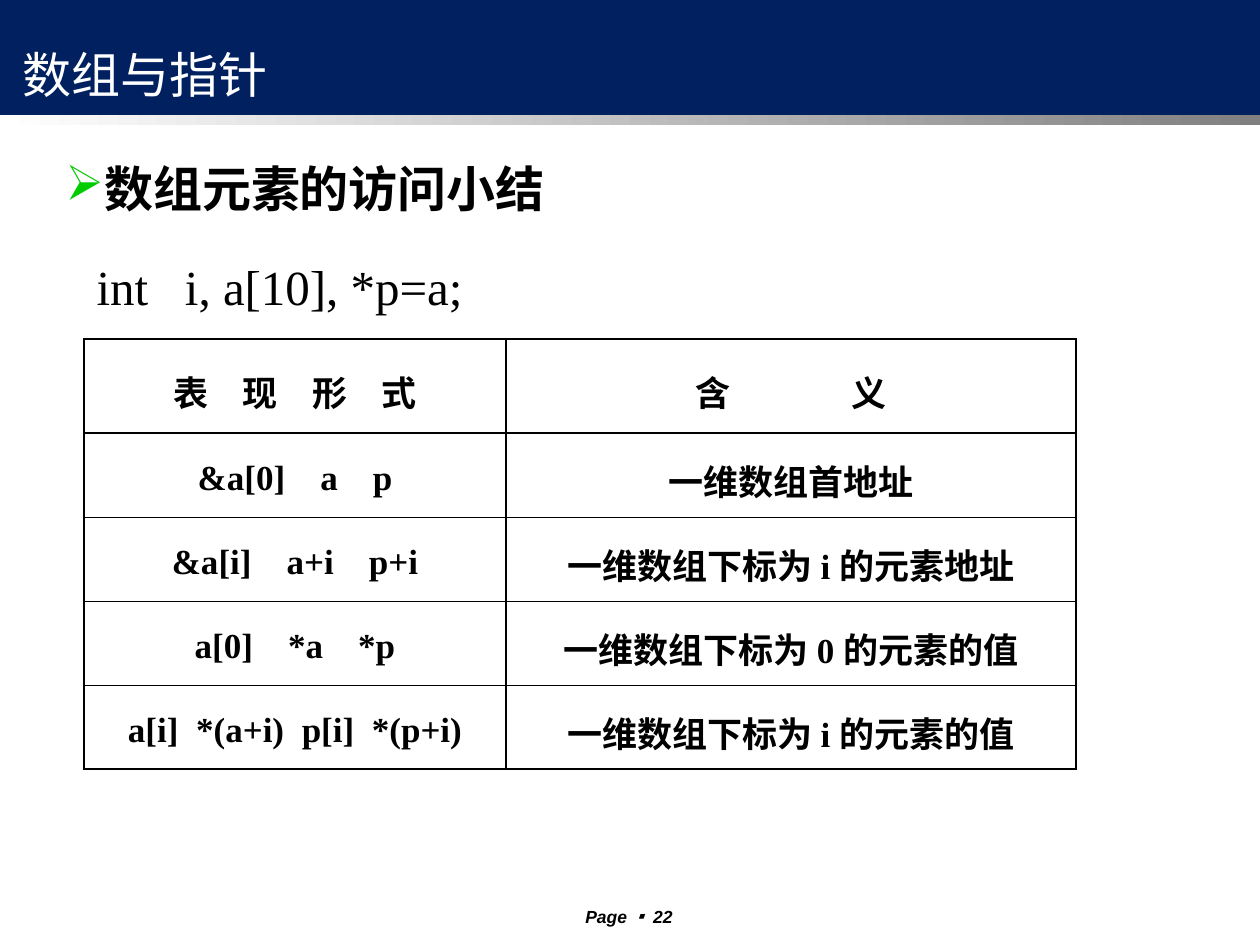
from pptx import Presentation
from pptx import util as u
from pptx.dml.color import RGBColor
from pptx.enum import shapes, text
from pptx.oxml.ns import qn
from lxml import etree

NAVY = RGBColor(0x00, 0x20, 0x60)
GREY = RGBColor(0x80, 0x80, 0x80)
WHITE = RGBColor(0xFF, 0xFF, 0xFF)
BLACK = RGBColor(0x00, 0x00, 0x00)
GREEN = RGBColor(0x00, 0xCC, 0x00)
SERIF, SANS, CJK = "Times New Roman", "Arial", "Noto Sans CJK JP"
THICK, THIN = 1.08, 0.45
CENTER, JUSTIFY = text.PP_ALIGN.CENTER, text.PP_ALIGN.JUSTIFY


def px(n):
    return u.Emu(round(n * 914400 / 126))


def add_color(parent, color):
    etree.SubElement(parent, qn("a:srgbClr"), val=str(color))


class SlideBuilder:
    def __init__(self, prs):
        self.slide = prs.slides.add_slide(prs.slide_layouts[6])

    def band(self, top, height, color, end_color=None):
        band = self.slide.shapes.add_shape(
            shapes.MSO_SHAPE.RECTANGLE, px(0), px(top), px(1260), px(height))
        band.shadow.inherit = False
        band.line.fill.background()
        if end_color is None:
            band.fill.solid()
            band.fill.fore_color.rgb = color
        else:
            band.fill.gradient()
            band.fill.gradient_angle = 0
            for stop, stop_color in zip(band.fill.gradient_stops, (color, end_color)):
                stop.color.rgb = stop_color

    def run(self, paragraph, words, size, font=SERIF, color=BLACK,
            bold=False, italic=False, gap=None):
        run = paragraph.add_run()
        run.text = words
        run.font.size = u.Pt(size)
        run.font.name = font
        run.font.bold, run.font.italic = bold, italic
        run.font.color.rgb = color
        props = run.font._element
        etree.SubElement(props, qn("a:ea"), typeface=CJK)
        if gap:
            props.set("spc", str(gap * 100))

    def spaced(self, paragraph, words, gap, size, bold):
        """Write words parted by one space, each widened by gap points."""
        for n, word in enumerate(words):
            if n:
                self.run(paragraph, " ", size, bold=bold, gap=gap)
            self.run(paragraph, word, size, bold=bold)

    def text_box(self, left, top, width, height, align=None,
                 anchor=text.MSO_ANCHOR.TOP):
        frame = self.slide.shapes.add_textbox(
            px(left), px(top), px(width), px(height)).text_frame
        frame.word_wrap = True
        frame.vertical_anchor = anchor
        paragraph = frame.paragraphs[0]
        paragraph.alignment = align
        return paragraph

    def bullet(self, paragraph, mark, color):
        props = paragraph._p.get_or_add_pPr()
        add_color(etree.SubElement(props, qn("a:buClr")), color)
        etree.SubElement(props, qn("a:buChar"), char=mark)

    def table(self, left, top, widths, heights):
        table = self.slide.shapes.add_table(
            len(heights), len(widths), px(left), px(top),
            px(sum(widths)), px(sum(heights))).table
        table.first_row = table.horz_banding = False
        for column, width in zip(table.columns, widths):
            column.width = px(width)
        for row, height in zip(table.rows, heights):
            row.height = px(height)
        return table

    def cell(self, cell, words, gap, borders, size=20, bold=True, align=CENTER):
        paragraph = cell.text_frame.paragraphs[0]
        paragraph.alignment = align
        paragraph.line_spacing = 1.2
        self.spaced(paragraph, words, gap, size, bold)
        cell.vertical_anchor = text.MSO_ANCHOR.MIDDLE
        self.borders(cell, borders)
        cell.fill.background()

    def borders(self, cell, widths):
        props = cell._tc.get_or_add_tcPr()
        for side, width in zip("LRTB", widths):
            line = etree.SubElement(props, qn(f"a:ln{side}"), w=str(int(u.Pt(width))))
            if width:
                add_color(etree.SubElement(line, qn("a:solidFill")), BLACK)
            else:
                etree.SubElement(line, qn("a:noFill"))


def main():
    prs = Presentation()
    prs.slide_width, prs.slide_height = px(1260), px(945)
    page = SlideBuilder(prs)

    # Header bands and title
    page.band(0, 115, NAVY)
    page.band(115, 10, WHITE, GREY)
    title = page.text_box(10, 26, 1226, 95, JUSTIFY, text.MSO_ANCHOR.MIDDLE)
    page.run(title, "数组与指针", 28, CJK, WHITE)

    # Page number
    footer = page.text_box(530, 900, 198, 28, CENTER)
    for words, font in (("Page ", SANS), ("▪ ", CJK), ("22", SANS)):
        page.run(footer, words, 10, font, bold=True, italic=True)

    # Section heading
    heading = page.text_box(53, 147, 1081, 78)
    heading.line_spacing = 1.1
    page.bullet(heading, "➢", GREEN)
    page.run(heading, "数组元素的访问小结", 28, bold=True)

    # Table: declaration row, then form and meaning, with gaps in points
    rows = [
        (["表", "现", "形", "式"], 15, ["含", "义"], 65),
        (["&a[0]", "a", "p"], 15, ["一维数组首地址"], 0),
        (["&a[i]", "a+i", "p+i"], 15, ["一维数组下标为 i 的元素地址"], 0),
        (["a[0]", "*a", "*p"], 15, ["一维数组下标为 0 的元素的值"], 0),
        (["a[i]", "*(a+i)", "p[i]", "*(p+i)"], 5, ["一维数组下标为 i 的元素的值"], 0),
    ]
    access = page.table(84, 228, [422, 570], [111, 94] + [84] * 4)
    access.cell(0, 0).merge(access.cell(0, 1))
    page.cell(access.cell(0, 0), ["int", "i, a[10], *p=a;"], 14,
              (0, 0, 0, THICK), 28, False, JUSTIFY)
    page.borders(access.cell(0, 1), (0, 0, 0, THICK))
    for r, (form, form_gap, meaning, meaning_gap) in enumerate(rows, 1):
        edges = (THICK, THICK, THICK if r <= 2 else THIN,
                 THICK if r in (1, len(rows)) else THIN)
        page.cell(access.cell(r, 0), form, form_gap, edges)
        page.cell(access.cell(r, 1), meaning, meaning_gap, edges)

    prs.save("out.pptx")


if __name__ == "__main__":
    main()
